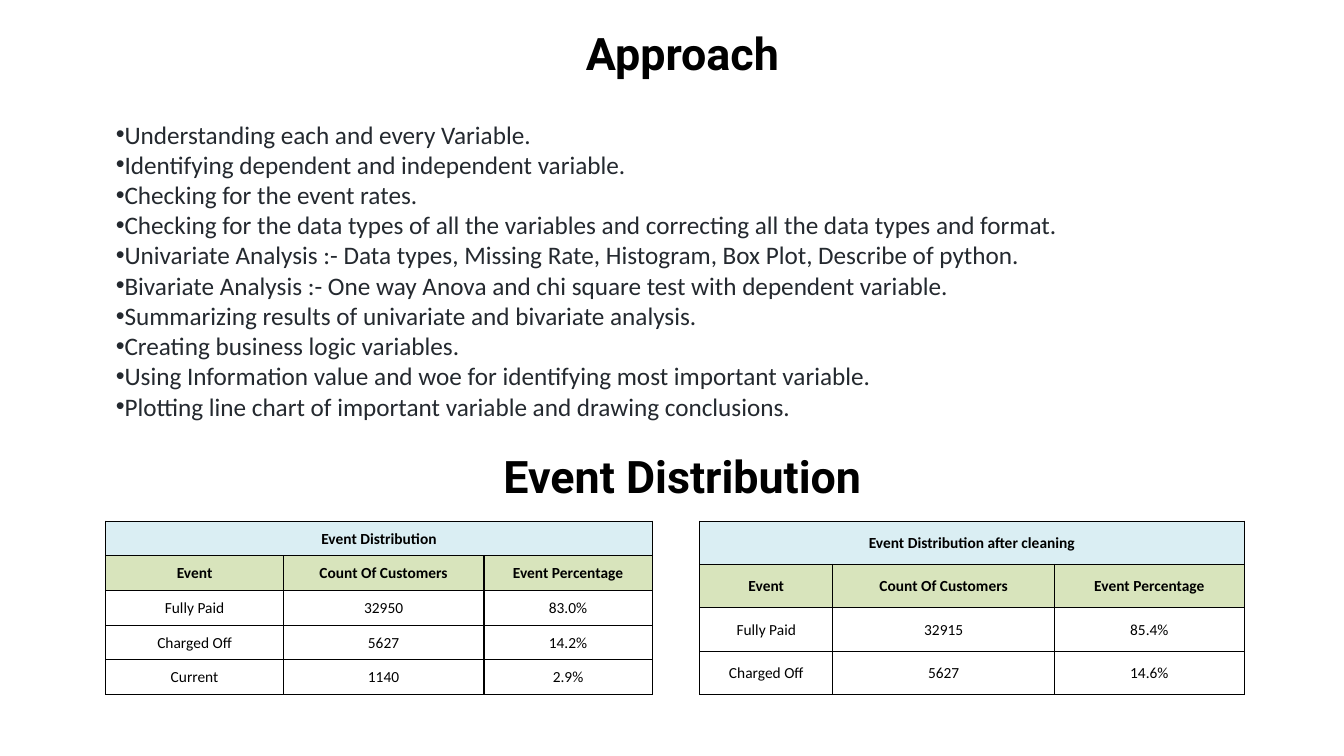
from lxml.etree import SubElement
from pptx import Presentation
from pptx.dml.color import RGBColor
from pptx.enum.text import MSO_ANCHOR, MSO_AUTO_SIZE, PP_ALIGN
from pptx.oxml.ns import qn
from pptx.util import Pt

EMU_PER_PX = 9144
COLORS = {
    "black": "000000",
    "body": "24292F",
    "banner": "DAEEF3",
    "header": "D8E4BC",
}
HEADERS = ["Event", "Count Of Customers", "Event Percentage"]
STEPS = [
    "Understanding each and every Variable.",
    "Identifying dependent and independent variable.",
    "Checking for the event rates.",
    "Checking for the data types of all the variables and correcting all the data types and format.",
    "Univariate Analysis :- Data types, Missing Rate, Histogram, Box Plot, Describe of python.",
    "Bivariate Analysis :- One way Anova and chi square test with dependent variable.",
    "Summarizing results of univariate and bivariate analysis.",
    "Creating business logic variables.",
    "Using Information value and woe for identifying most important variable.",
    "Plotting line chart of important variable and drawing conclusions.",
]
ALL_EVENTS = [
    ["Fully Paid", "32950", "83.0%"],
    ["Charged Off", "5627", "14.2%"],
    ["Current", "1140", "2.9%"],
]
CLEANED_EVENTS = [
    ["Fully Paid", "32915", "85.4%"],
    ["Charged Off", "5627", "14.6%"],
]


def px(length):
    return round(length * EMU_PER_PX)


def color(name):
    return RGBColor.from_string(COLORS[name])


def write(para, text, size=11, font="Calibri", ink="black", bold=False, align=PP_ALIGN.CENTER):
    para.alignment = align
    span = para.add_run()
    span.text = text
    span.font.size = Pt(size)
    span.font.name = font
    span.font.bold = bold
    span.font.color.rgb = color(ink)


def add_text_frame(page, box):
    frame = page.shapes.add_textbox(*map(px, box)).text_frame
    frame.word_wrap = True
    frame.auto_size = MSO_AUTO_SIZE.SHAPE_TO_FIT_TEXT
    return frame


def add_heading(page, box, text):
    frame = add_text_frame(page, box)
    write(frame.paragraphs[0], text, size=32, font="Roboto", bold=True)


def add_steps(page, box, steps):
    frame = add_text_frame(page, box)
    for index, step in enumerate(steps):
        para = frame.add_paragraph() if index else frame.paragraphs[0]
        write(para, step, size=18, ink="body", align=PP_ALIGN.LEFT)
        properties = para._p.get_or_add_pPr()
        properties.set("marL", "0")
        properties.set("indent", "0")
        SubElement(properties, qn("a:buFont"), typeface="Arial")
        SubElement(properties, qn("a:buChar"), char="•")


def draw_borders(cell, top, bottom):
    properties = cell._tc.get_or_add_tcPr()
    for side, width in (("L", 1), ("R", 1), ("T", top), ("B", bottom)):
        line = SubElement(properties, qn(f"a:ln{side}"), w=str(Pt(width)))
        fill = SubElement(line, qn("a:solidFill"))
        SubElement(fill, qn("a:srgbClr"), val=COLORS["black"])


def format_cell(cell, fill, top, bottom):
    draw_borders(cell, top, bottom)
    if fill:
        cell.fill.solid()
        cell.fill.fore_color.rgb = color(fill)
    else:
        cell.fill.background()
    cell.vertical_anchor = MSO_ANCHOR.MIDDLE
    cell.margin_left = cell.margin_right = cell.margin_top = px(1)
    cell.margin_bottom = 0


def add_event_table(page, box, title, widths, events):
    rows = [[title, "", ""], HEADERS, *events]
    fills = ["banner", "header"] + [None] * len(events)
    table = page.shapes.add_table(len(rows), len(widths), *map(px, box)).table
    table.first_row = table.horz_banding = False
    for column, width in zip(table.columns, widths):
        column.width = px(width)
    last = len(rows) - 1
    for row, (values, fill) in enumerate(zip(rows, fills)):
        table.rows[row].height = px(box[3] / len(rows))
        top = 0.5 if row > 2 else 1
        bottom = 0.5 if 2 <= row < last else 1
        for column, value in enumerate(values):
            cell = table.cell(row, column)
            format_cell(cell, fill, top, bottom)
            if value:
                write(cell.text_frame.paragraphs[0], value, bold=row < 2)
    table.cell(0, 0).merge(table.cell(0, len(widths) - 1))


def add_approach_slide(deck):
    page = deck.slides.add_slide(deck.slide_layouts[6])
    add_heading(page, (38, 21, 1278, 64), "Approach")
    add_steps(page, (105, 113, 1237, 313), STEPS)
    add_event_table(page, (105, 517, 542, 172), "Event Distribution",
                    (176, 199, 167), ALL_EVENTS)
    add_event_table(page, (694, 517, 540, 172), "Event Distribution after cleaning",
                    (132, 220, 188), CLEANED_EVENTS)
    add_heading(page, (38, 440, 1278, 64), "Event Distribution")


def main():
    deck = Presentation()
    deck.slide_width = px(1333)
    deck.slide_height = px(750)
    add_approach_slide(deck)
    deck.save("out.pptx")


if __name__ == "__main__":
    main()
